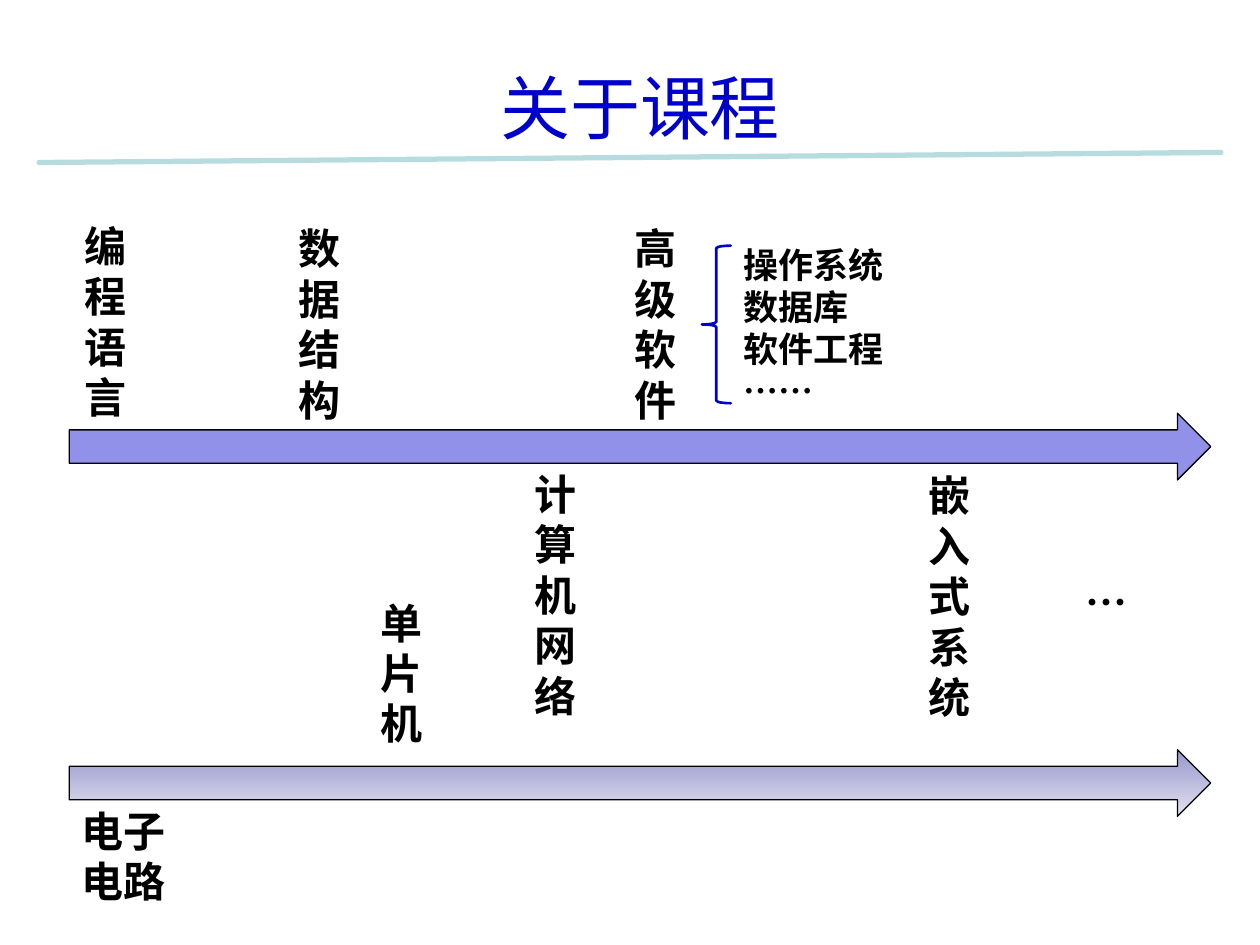
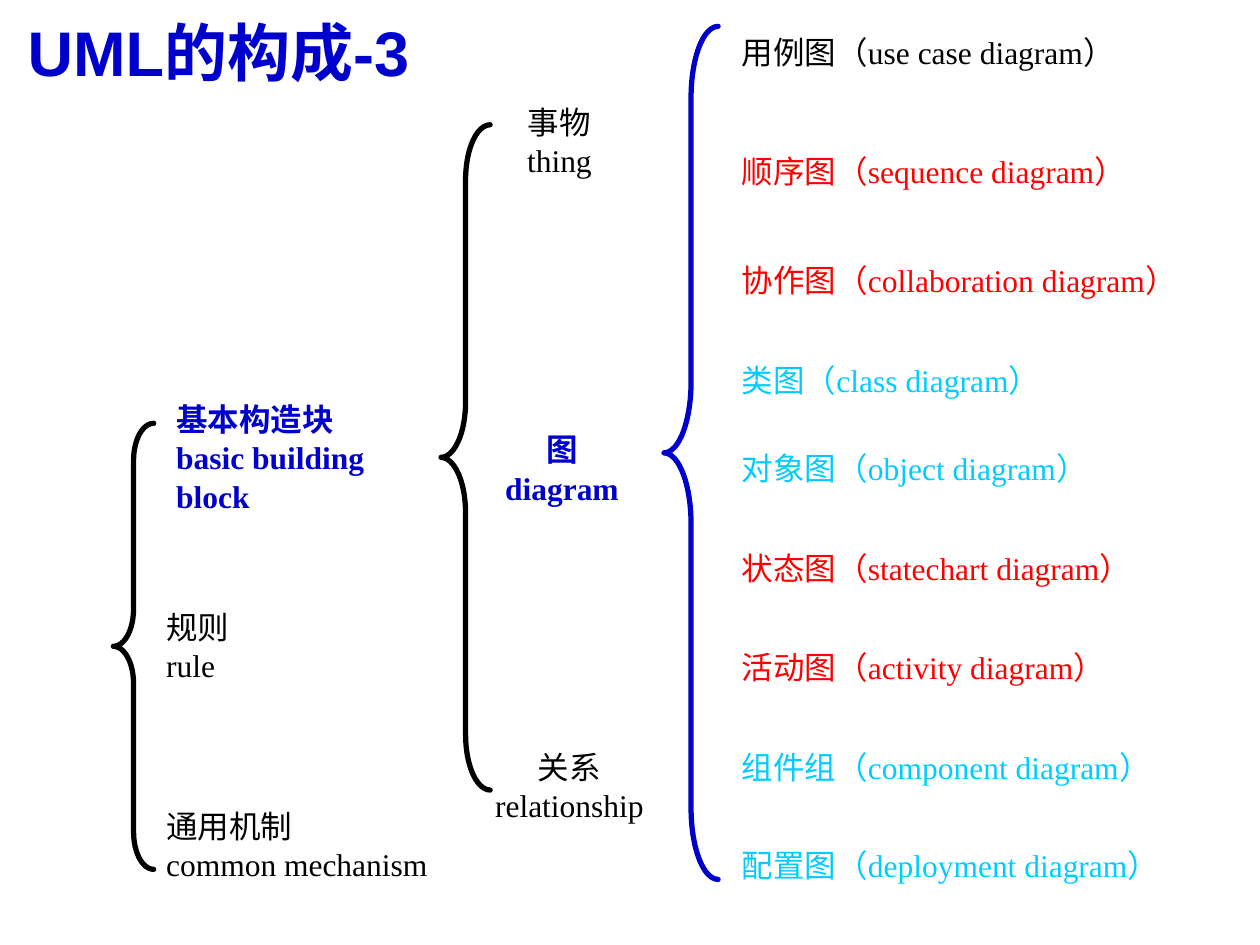
from lxml.etree import SubElement
from pptx import Presentation
from pptx.dml.color import RGBColor
from pptx.enum.shapes import MSO_CONNECTOR as Connector, MSO_SHAPE as Preset
from pptx.enum.text import MSO_ANCHOR as Anchor, MSO_AUTO_SIZE as AutoSize, PP_ALIGN as Align
from pptx.oxml.ns import qn
from pptx.util import Emu, Pt

PX = 9144  # 100 px to the inch
COLORS = {
    "blue": "0000CC", "black": "000000", "red": "FF0000", "cyan": "00CCFF",
    "rule": "B6DCDF", "lavender": "9898CE", "mist": "E1E1EF",
}
CJK, SERIF, SANS = "Noto Sans CJK SC", "Times New Roman", "Arial"

# Slide 1: courses along two timelines
COURSE_TITLE = "关于课程"
ARROW_LEFT, ARROW_WIDTH, ARROW_HEIGHT = 55, 906, 53
SOFTWARE_ARROW_TOP, HARDWARE_ARROW_TOP = 328, 595
COURSES = [  # lines, left, top, width, height
    (["编程语言"], 57, 170, 62, 170),
    (["数据结构"], 227, 172, 62, 170),
    (["高级软件"], 494, 172, 62, 170),
    (["单片机"], 292, 469, 62, 130),
    (["计算机网络"], 414, 367, 63, 210),
    (["嵌入式系统"], 727, 368, 62, 210),
    (["…"], 852, 453, 62, 50),
    (["电子", "电路"], 55, 634, 102, 90),
]
SOFTWARE_COURSES = ["操作系统", "数据库", "软件工程", "……"]

# Slide 2: the parts of UML as a tree of braces
UML_TITLE = "UML的构成-3"
BRACES = [  # left, top, width, height, color
    (90, 336, 32, 354, "black"),
    (350, 99, 39, 528, "black"),
    (527, 21, 43, 677, "blue"),
]
PARTS = [  # lines, left, top, width, height, alignment, highlighted
    (["基本构造块", "basic building block"], 130, 312, 224, 63, Align.LEFT, True),
    (["规则", "rule"], 122, 477, 110, 71, Align.LEFT, False),
    (["通用机制", "common mechanism"], 122, 635, 252, 71, Align.LEFT, False),
    (["事物", "thing"], 388, 76, 112, 63, Align.CENTER, False),
    (["图", "diagram"], 390, 336, 112, 63, Align.CENTER, True),
    (["关系", "relationship"], 372, 588, 160, 63, Align.CENTER, False),
]
DIAGRAM_LEFT, DIAGRAM_WIDTH, DIAGRAM_HEIGHT = 579, 421, 39
DIAGRAMS = [  # text, top, color
    ("用例图（use case diagram）", 21, "black"),
    ("顺序图（sequence diagram）", 115, "red"),
    ("协作图（collaboration diagram）", 202, "red"),
    ("类图（class diagram）", 281, "cyan"),
    ("对象图（object diagram）", 351, "cyan"),
    ("状态图（statechart diagram）", 430, "red"),
    ("活动图（activity diagram）", 509, "red"),
    ("组件组（component diagram）", 588, "cyan"),
    ("配置图（deployment diagram）", 666, "cyan"),
]


def px(*lengths):
    return [Emu(length * PX) for length in lengths]


def rgb(name):
    return RGBColor.from_string(COLORS[name])


def style_line(line, color, width):
    line.color.rgb = rgb(color)
    line.width = Pt(width)


def write(shape, lines, size, font, color, bold, align, spacing=None):
    """Fill a text frame, one paragraph per line, all in one style."""
    frame = shape.text_frame
    frame.word_wrap = True
    frame.auto_size = AutoSize.NONE
    frame.text = "\n".join(lines)
    for paragraph in frame.paragraphs:
        paragraph.alignment = align
        if spacing:
            paragraph.line_spacing = Pt(spacing)
        style = paragraph.font
        style.size, style.name, style.bold = Pt(size), font, bold
        style.color.rgb = rgb(color)
        # Chinese characters take the same CJK font everywhere
        defaults = paragraph._p.pPr.find(qn("a:defRPr"))
        SubElement(defaults, qn("a:ea")).set("typeface", CJK)


def add_text(slide, lines, box, size, font, color, spacing, bold=False, align=Align.LEFT):
    shape = slide.shapes.add_textbox(*px(*box))
    write(shape, lines, size, font, color, bold, align, spacing)


def add_titled_slide(presentation, title, box, size, font, bold, align, anchor):
    slide = presentation.slides.add_slide(presentation.slide_layouts[5])
    shape = slide.shapes.title
    shape.left, shape.top, shape.width, shape.height = px(*box)
    write(shape, [title], size, font, "blue", bold, align)
    shape.text_frame.vertical_anchor = anchor
    return slide


def add_preset(slide, preset, box, color, line_width):
    shape = slide.shapes.add_shape(preset, *px(*box))
    shape.shadow.inherit = False
    style_line(shape.line, color, line_width)
    return shape


def add_brace(slide, box, color, line_width, curl):
    """Draw a left brace; curl is the height of each quarter arc in px."""
    brace = add_preset(slide, Preset.LEFT_BRACE, box, color, line_width)
    brace.fill.background()
    brace.adjustments[0] = curl / box[2]
    brace.line._ln.set("cap", "rnd")


def add_timeline(slide, top):
    box = (ARROW_LEFT, top, ARROW_WIDTH, ARROW_HEIGHT)
    return add_preset(slide, Preset.RIGHT_ARROW, box, "black", 0.75)


def build_courses(presentation):
    slide = add_titled_slide(presentation, COURSE_TITLE, (83, 21, 850, 127),
                             40, CJK, False, Align.CENTER, Anchor.MIDDLE)

    # Timelines: one translucent, one shaded
    software = add_timeline(slide, SOFTWARE_ARROW_TOP)
    software.fill.solid()
    software.fill.fore_color.rgb = rgb("blue")
    fill_color = software.fill._xPr.find(qn("a:solidFill"))[0]
    SubElement(fill_color, qn("a:alpha")).set("val", "43000")
    hardware = add_timeline(slide, HARDWARE_ARROW_TOP)
    hardware.fill.gradient()
    hardware.fill.gradient_angle = 270
    for stop, position, color in zip(hardware.fill.gradient_stops, (0, 1), ("lavender", "mist")):
        stop.position = position
        stop.color.rgb = rgb(color)

    # Courses
    for lines, *box in COURSES:
        add_text(slide, lines, box, 24, CJK, "black", 28.8, bold=True)
    add_text(slide, SOFTWARE_COURSES, (580, 188, 133, 144), 20, CJK, "black", 24, bold=True)
    add_brace(slide, (557, 195, 23, 125), "blue", 1.5, curl=2)

    # Rule under the title
    rule = slide.shapes.add_connector(Connector.STRAIGHT, *px(31, 129, 969, 121))
    style_line(rule.line, "rule", 3)
    rule.line._ln.set("cap", "rnd")
    SubElement(rule._element.spPr, qn("a:effectLst"))


def build_uml(presentation):
    slide = add_titled_slide(presentation, UML_TITLE, (12, 6, 380, 85),
                             36, SANS, True, Align.LEFT, Anchor.TOP)
    for *box, color in BRACES:
        add_brace(slide, box, color, 3, curl=box[3] / 12)
    for lines, *box, align, highlighted in PARTS:
        color = "blue" if highlighted else "black"
        add_text(slide, lines, box, 18, SERIF, color, 22, highlighted, align)
    for text, top, color in DIAGRAMS:
        box = (DIAGRAM_LEFT, top, DIAGRAM_WIDTH, DIAGRAM_HEIGHT)
        add_text(slide, [text], box, 18, SERIF, color, 22)


def main():
    presentation = Presentation()
    presentation.slide_width, presentation.slide_height = px(1000, 750)
    build_courses(presentation)
    build_uml(presentation)
    presentation.save("out.pptx")


if __name__ == "__main__":
    main()
